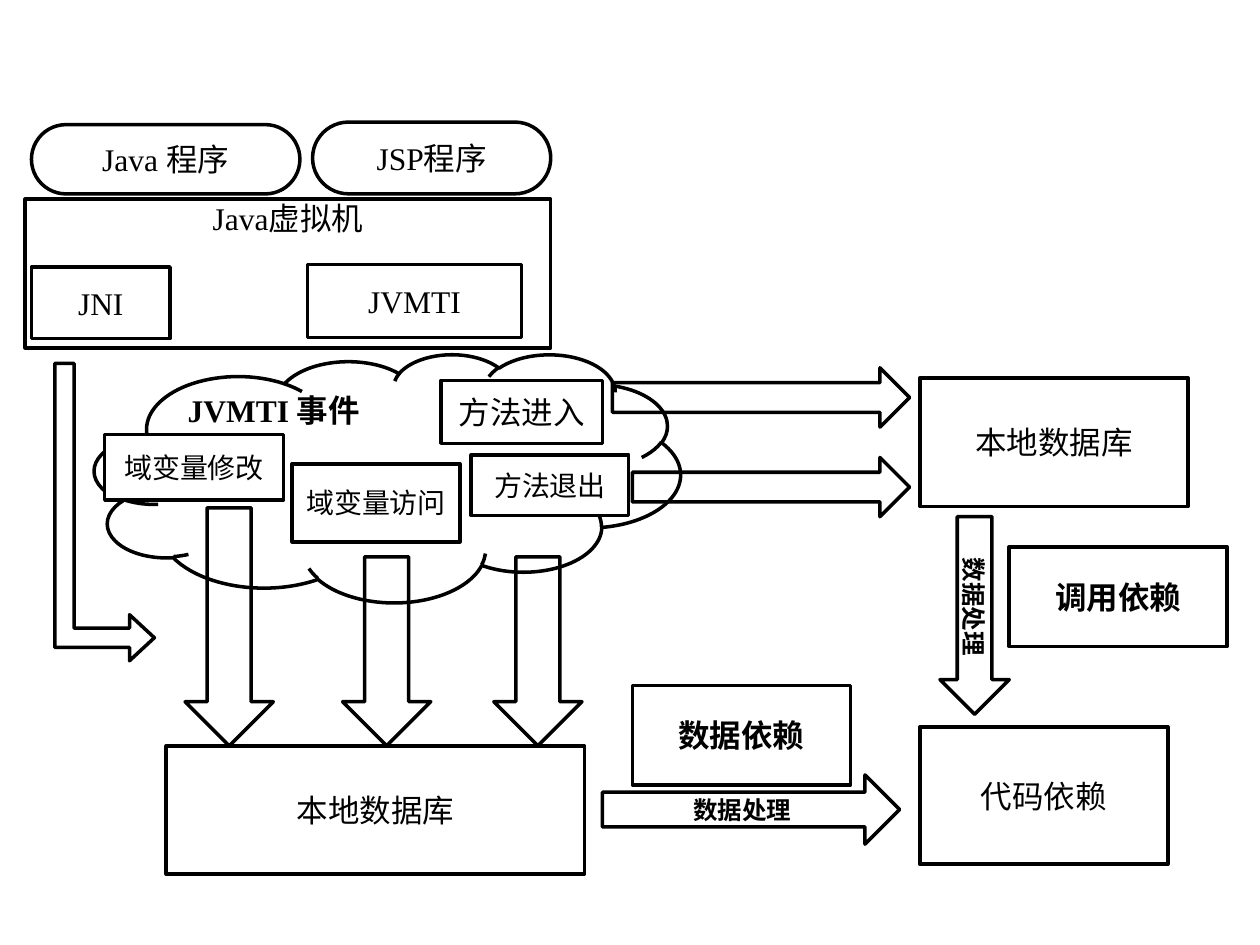
"""Builds a one-slide diagram of dependency analysis on the Java virtual machine."""
from dataclasses import dataclass

from pptx import Presentation
from pptx.dml.color import RGBColor
from pptx.enum.shapes import MSO_SHAPE as Preset
from pptx.enum.text import MSO_ANCHOR as Anchor, PP_ALIGN as Align
from pptx.util import Pt


@dataclass(frozen=True)
class Theme:
    ink: RGBColor = RGBColor(0, 0, 0)
    paper: RGBColor = RGBColor(255, 255, 255)
    font: str = "Times New Roman"
    body: int = 18
    event: int = 16
    process: int = 14
    stroke: int = 2


theme = Theme()

PROGRAMS = [
    ("Java 程序", 18, 71.2, 153.4, 39.6),
    ("JSP程序", 178.6, 69.8, 136.1, 41),
]
COMPONENTS = [
    ("JNI", 18, 152.6, 79.2, 41),
    ("JVMTI", 175.7, 151.2, 122.4, 41.8),
]
STORES = [
    ("本地数据库", 525.6, 216, 153.4, 73.4),
    ("本地数据库", 95, 426.2, 239, 73.4),
    ("代码依赖", 525.6, 415.4, 141.8, 78.5),
]
DEPENDENCIES = [
    ("数据依赖", 361.4, 391.7, 124.6, 56.9),
    ("调用依赖", 576.7, 312.5, 124.6, 56.9),
]
ENTRY_EVENT = [("方法进入", 252, 217.4, 92.2, 36)]
OTHER_EVENTS = [
    ("域变量访问", 167, 265, 95.8, 44.6),
    ("域变量修改", 59.8, 248.4, 102.2, 37.4),
    ("方法退出", 269.3, 259.9, 90, 34.6),
]
BOX_GROUPS = [
    (PROGRAMS, Preset.ROUNDED_RECTANGLE, None, {}),
    (COMPONENTS + STORES, Preset.RECTANGLE, None, {}),
    (DEPENDENCIES, Preset.RECTANGLE, None, {"bold": True}),
    (ENTRY_EVENT, Preset.RECTANGLE, theme.paper, {}),
    (OTHER_EVENTS, Preset.RECTANGLE, theme.paper, {"size": theme.event}),
]
FIELD_FLOWS = [(105.8, 290.2), (195.8, 318.2), (282.2, 318.2)]
METHOD_FLOWS = [(349.9, 210.2), (361.4, 261.4)]
FLOW_BOTTOM, FLOW_RIGHT = 426.2, 519.8
FIELD_FLOW_WIDTH, METHOD_FLOW_HEIGHT = 50.4, 33.9

presentation = Presentation()
presentation.slide_width, presentation.slide_height = Pt(720), Pt(540)
slide = presentation.slides.add_slide(presentation.slide_layouts[6])


def outline(preset, left, top, width, height, adjustments=(), fill=None):
    part = slide.shapes.add_shape(preset, Pt(left), Pt(top), Pt(width), Pt(height))
    part.shadow.inherit = False
    if fill is None:
        part.fill.background()
    else:
        part.fill.solid()
        part.fill.fore_color.rgb = fill
    part.line.color.rgb = theme.ink
    part.line.width = Pt(theme.stroke)
    for index, value in enumerate(adjustments):
        part.adjustments[index] = value
    return part


def write(part, text, size=theme.body, bold=False, align=Align.CENTER,
          anchor=Anchor.MIDDLE, inset_top=3.6, vertical=False):
    frame = part.text_frame
    frame.word_wrap = True
    frame.vertical_anchor = anchor
    frame.margin_top = Pt(inset_top)
    if vertical:
        frame._txBody.bodyPr.set("vert", "vert")
    paragraph = frame.paragraphs[0]
    paragraph.alignment = align
    run = paragraph.add_run()
    run.text = text
    run.font.name = theme.font
    run.font.size = Pt(size)
    run.font.bold = bold
    run.font.color.rgb = theme.ink


virtual_machine = outline(Preset.RECTANGLE, 14.4, 113.8, 300.2, 85)
write(virtual_machine, "Java虚拟机", anchor=Anchor.TOP, inset_top=0)

native_route = outline(Preset.BENT_UP_ARROW, -25.2, 264.2, 169.9, 56.9,
                       (0.193, 0.231, 0.25))
native_route.rotation = 90

event_cloud = outline(Preset.CLOUD, 54, 202.3, 334.8, 141.8)
write(event_cloud, "JVMTI 事件", bold=True, align=Align.LEFT, anchor=Anchor.TOP,
      inset_top=0)

for left, top in FIELD_FLOWS:
    outline(Preset.DOWN_ARROW, left, top, FIELD_FLOW_WIDTH, FLOW_BOTTOM - top)
for left, top in METHOD_FLOWS:
    outline(Preset.RIGHT_ARROW, left, top, FLOW_RIGHT - left, METHOD_FLOW_HEIGHT)

data_processing = outline(Preset.RIGHT_ARROW, 344.2, 442.8, 169.9, 39.6)
write(data_processing, "数据处理", size=theme.process, bold=True)
call_processing = outline(Preset.DOWN_ARROW, 537.1, 295.2, 39.6, 113)
write(call_processing, "数据处理", size=theme.process, bold=True, vertical=True)

for boxes, preset, fill, style in BOX_GROUPS:
    rounding = (0.5,) if preset == Preset.ROUNDED_RECTANGLE else ()
    for label, *bounds in boxes:
        write(outline(preset, *bounds, rounding, fill), label, **style)

presentation.save("out.pptx")
